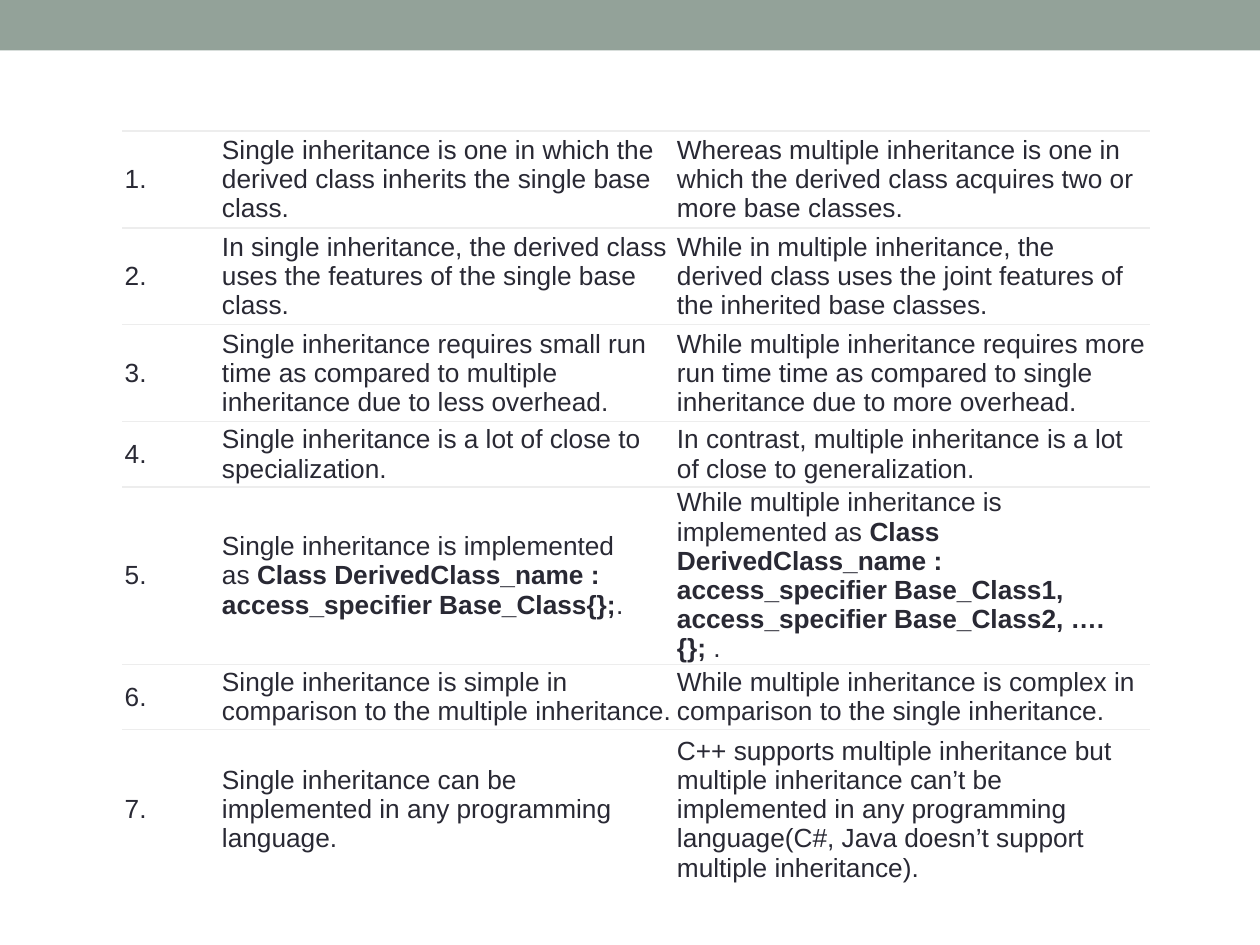
from pptx import Presentation
from pptx.dml.color import RGBColor
from pptx.enum.shapes import MSO_SHAPE
from pptx.enum.text import MSO_ANCHOR
from pptx.oxml.ns import qn
from pptx.util import Pt
from lxml.etree import SubElement

COLORS = {"band": "93A299", "rule": "EDEDED", "text": "292934", "cell": "FFFFFF"}


def rgb(name):
    return RGBColor.from_string(COLORS[name])


def write(para, text, size=15, font="Arial", color="text", bold=False):
    run = para.add_run()
    run.text = text
    run.font.size = Pt(size)
    run.font.name = font
    run.font.bold = bold
    run.font.color.rgb = rgb(color)


class Page:
    def __init__(self, deck):
        self.slide = deck.slides.add_slide(deck.slide_layouts[6])
        self.rule = 0.75
        self.pad = (1.5, 0.75)

    def rect(self, left, top, width, height, color):
        shape = self.slide.shapes.add_shape(
            MSO_SHAPE.RECTANGLE, Pt(left), Pt(top), Pt(width), Pt(height))
        shape.shadow.inherit = False
        shape.fill.solid()
        shape.fill.fore_color.rgb = rgb(color)
        shape.line.fill.background()

    def edge(self, cell, side, shown):
        line = SubElement(cell._tc.get_or_add_tcPr(), qn("a:ln" + side))
        if shown:
            line.set("w", str(Pt(self.rule)))
            fill = SubElement(line, qn("a:solidFill"))
            SubElement(fill, qn("a:srgbClr")).set("val", COLORS["rule"])
        else:
            line.set("w", "0")
            SubElement(line, qn("a:noFill"))

    def cell(self, cell, parts, last):
        cell.margin_left = cell.margin_right = Pt(self.pad[0])
        cell.margin_top = cell.margin_bottom = Pt(self.pad[1])
        cell.vertical_anchor = MSO_ANCHOR.MIDDLE
        # Borders come before the fill in the cell's XML
        for side, shown in (("L", False), ("R", False), ("T", True), ("B", not last)):
            self.edge(cell, side, shown)
        cell.fill.solid()
        cell.fill.fore_color.rgb = rgb("cell")
        # Every second part is bold
        for i, part in enumerate(parts):
            write(cell.text_frame.paragraphs[0], part, bold=i % 2 == 1)

    def table(self, left, top, widths, heights, rows):
        table = self.slide.shapes.add_table(
            len(rows), len(widths), Pt(left), Pt(top),
            Pt(sum(widths)), Pt(sum(heights))).table
        table.first_row = table.horz_banding = False
        for col, width in zip(table.columns, widths):
            col.width = Pt(width)
        for r, (row, height) in enumerate(zip(rows, heights)):
            table.rows[r].height = Pt(height)
            for c, parts in enumerate(([f"{r + 1}."], *row)):
                self.cell(table.cell(r, c), parts, r == len(rows) - 1)


# Each row holds the single and the multiple side
ROWS = [
    (["Single inheritance is one in which the derived class inherits the single base class."],
     ["Whereas multiple inheritance is one in which the derived class acquires two or more "
      "base classes."]),
    (["In single inheritance, the derived class uses the features of the single base class."],
     ["While in multiple inheritance, the derived class uses the joint features of the "
      "inherited base classes."]),
    (["Single inheritance requires small run time as compared to multiple inheritance due to "
      "less overhead."],
     ["While multiple inheritance requires more run time time as compared to single "
      "inheritance due to more overhead."]),
    (["Single inheritance is a lot of close to specialization."],
     ["In contrast, multiple inheritance is a lot of close to generalization."]),
    (["Single inheritance is implemented as\u00a0",
      "Class DerivedClass_name : access_specifier Base_Class{};", "."],
     ["While multiple inheritance is implemented as\u00a0",
      "Class DerivedClass_name : access_specifier Base_Class1, access_specifier "
      "Base_Class2, \u2026.{};", "\u00a0."]),
    (["Single inheritance is simple in comparison to the multiple inheritance."],
     ["While multiple inheritance is complex in comparison to the single inheritance."]),
    (["Single inheritance can be implemented in any programming language."],
     ["C++ supports multiple inheritance but multiple inheritance can\u2019t be implemented in "
      "any programming language(C#, Java doesn\u2019t support multiple inheritance)."]),
]

deck = Presentation()
deck.slide_width, deck.slide_height = Pt(720), Pt(540)
page = Page(deck)

# Top band
page.rect(0, 0, 720, 28.8, "band")

# Comparison table
short, mid, tall = 37.2, 55.4, 91.4
page.table(69.8, 74.9, [55.6, 260, 271.8],
           [mid, mid, mid, short, tall, short, tall], ROWS)

deck.save("out.pptx")
